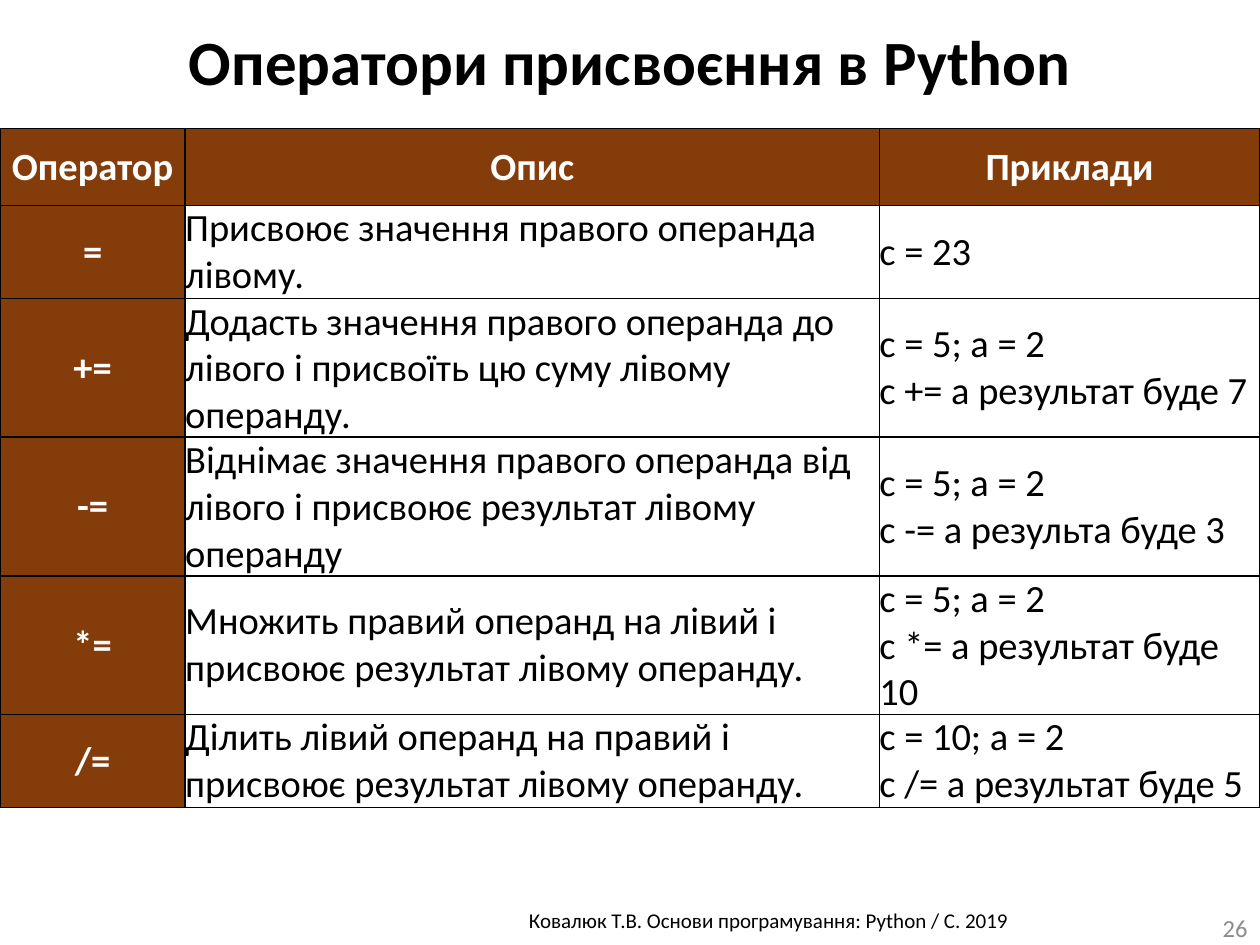
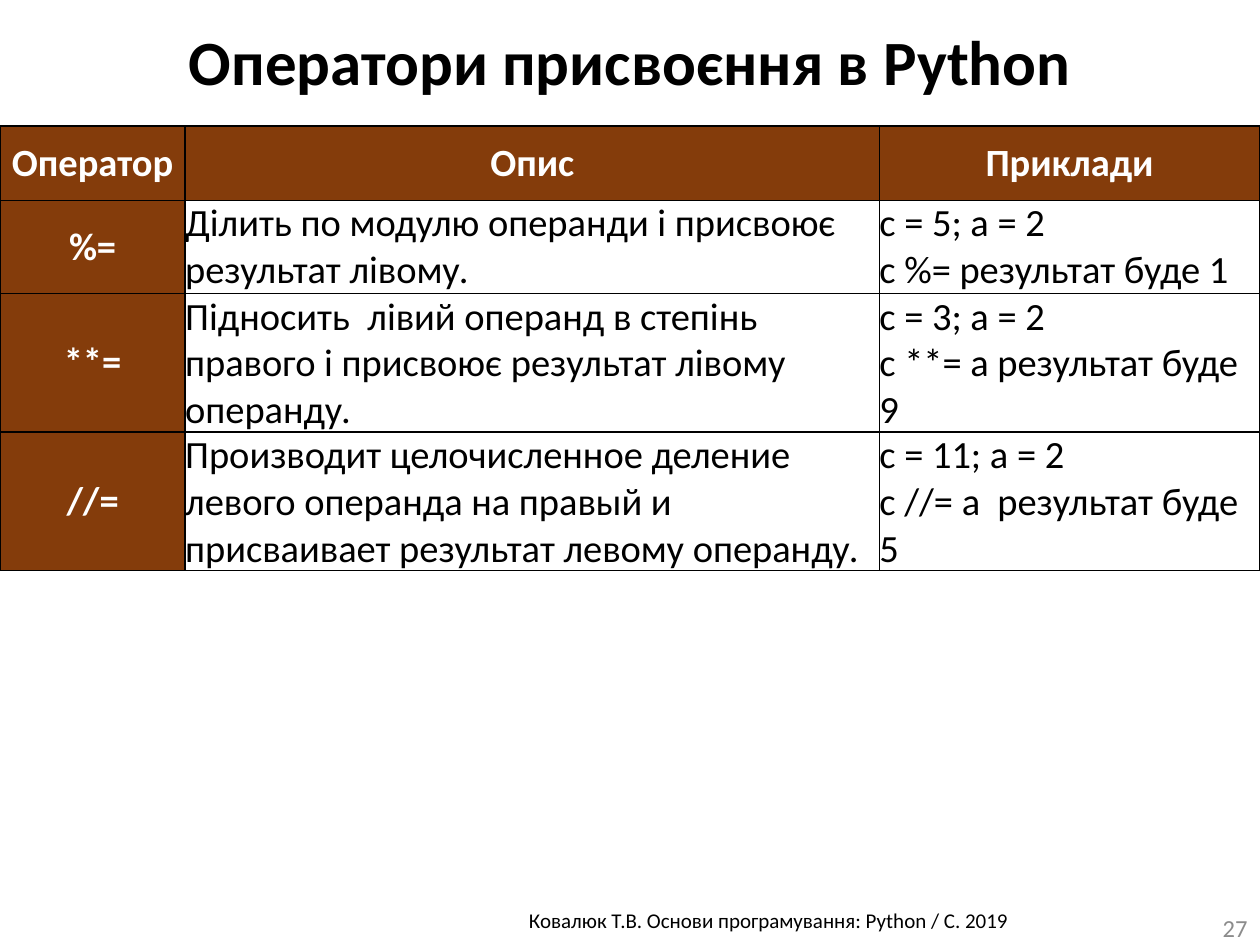
"""Build two slides listing the assignment operators of Python."""
import lxml.etree
import pptx
import pptx.dml.color
import pptx.enum.text
import pptx.oxml.ns
import pptx.util

BLACK = pptx.dml.color.RGBColor(0x00, 0x00, 0x00)
WHITE = pptx.dml.color.RGBColor(0xFF, 0xFF, 0xFF)
BROWN = pptx.dml.color.RGBColor(0x84, 0x3C, 0x0B)
GREY = pptx.dml.color.RGBColor(0x8C, 0x8C, 0x8C)
LEFT = pptx.enum.text.PP_ALIGN.LEFT
CENTER = pptx.enum.text.PP_ALIGN.CENTER
RIGHT = pptx.enum.text.PP_ALIGN.RIGHT
TOP = pptx.enum.text.MSO_ANCHOR.TOP
MIDDLE = pptx.enum.text.MSO_ANCHOR.MIDDLE
Inches = pptx.util.Inches

WIDTH, HEIGHT = 10, 7.5
COLUMN_SHARES = (0.147, 0.551, 0.302)
ROW_HEIGHTS = {2: 0.74, 3: 1.1}
TITLE = "Оператори присвоєння в Python"
FOOTER = "Ковалюк Т.В. Основи програмування: Python / C. 2019 "
HEADINGS = ("Оператор", "Опис", "Приклади")

PAGES = [
    (26, 1.02, 0.61, [
        ("=", "Присвоює значення правого операнда лівому.", "c = 23", 2),
        ("+=", "Додасть значення правого операнда до лівого і присвоїть цю суму лівому операнду.",
         "с = 5; а = 2\vс += а результат буде 7", 3),
        ("-=", "Віднімає значення правого операнда від лівого і присвоює результат лівому операнду",
         "с = 5; а = 2\vс -= а результа буде 3", 3),
        ("*=", "Множить правий операнд на лівий і присвоює результат лівому операнду.",
         "с = 5; а = 2\vс *= а результат буде 10", 3),
        ("/=", "Ділить лівий операнд на правий і присвоює результат лівому операнду.",
         "с = 10; а = 2\vс /= а результат буде 5", 2),
    ]),
    (27, 1, 0.59, [
        ("%=", "Ділить по модулю операнди і присвоює результат лівому.",
         "с = 5; а = 2\vс %= результат буде 1", 2),
        ("**=", "Підносить  лівий операнд в степінь правого і присвоює результат лівому операнду.",
         "с = 3; а = 2\vс **= а результат буде 9", 3),
        ("//=", "Производит целочисленное деление левого операнда на правый и "
         "присваивает результат левому операнду.",
         "с = 11; а = 2\vс //= а  результат буде 5", 3),
    ]),
]


def write(frame, text, size, color, align, bold=False):
    frame.text = text
    frame.word_wrap = True
    paragraph = frame.paragraphs[0]
    paragraph.alignment = align
    for run in paragraph.runs:
        run.font.name = "Calibri"
        run.font.size = pptx.util.Pt(size)
        run.font.bold = bold
        run.font.color.rgb = color


def add_borders(cell):
    properties = cell._tc.get_or_add_tcPr()
    for side in ("a:lnL", "a:lnR", "a:lnT", "a:lnB"):
        line = lxml.etree.SubElement(properties, pptx.oxml.ns.qn(side), w=str(pptx.util.Pt(1)))
        fill = lxml.etree.SubElement(line, pptx.oxml.ns.qn("a:solidFill"))
        lxml.etree.SubElement(fill, pptx.oxml.ns.qn("a:srgbClr"), val=str(BLACK))


deck = pptx.Presentation()
deck.slide_width = Inches(WIDTH)
deck.slide_height = Inches(HEIGHT)

for number, table_top, heading_height, operators in PAGES:
    slide = deck.slides.add_slide(deck.slide_layouts[6])

    captions = [
        (FOOTER, (2.24, 7.15, 7.76, 0.3), 12, BLACK, CENTER, False, TOP),
        (str(number), (9.53, 7.22, 0.47, 0.28), 14, GREY, RIGHT, False, MIDDLE),
        (TITLE, (0, 0.13, WIDTH, 0.71), 36, BLACK, CENTER, True, TOP),
    ]
    for text, place, size, color, align, bold, anchor in captions:
        caption = slide.shapes.add_textbox(*map(Inches, place)).text_frame
        write(caption, text, size, color, align, bold)
        caption.vertical_anchor = anchor

    heights = [heading_height] + [ROW_HEIGHTS[lines] for *_, lines in operators]
    table = slide.shapes.add_table(
        len(heights), len(HEADINGS), 0, Inches(table_top),
        Inches(WIDTH), Inches(sum(heights))).table
    table.first_row = False
    table.horz_banding = False
    for column, share in zip(table.columns, COLUMN_SHARES):
        column.width = Inches(WIDTH * share)
    for row, height in zip(table.rows, heights):
        row.height = Inches(height)

    contents = [HEADINGS] + [operator[:3] for operator in operators]
    for row_index, texts in enumerate(contents):
        for column_index, text in enumerate(texts):
            is_heading = row_index == 0 or column_index == 0
            cell = table.cell(row_index, column_index)
            add_borders(cell)
            cell.fill.solid()
            cell.fill.fore_color.rgb = BROWN if is_heading else WHITE
            cell.margin_left = cell.margin_right = cell.margin_top = cell.margin_bottom = 0
            cell.vertical_anchor = MIDDLE
            write(cell.text_frame, text, 22, WHITE if is_heading else BLACK,
                  CENTER if is_heading else LEFT, is_heading)

deck.save("out.pptx")
